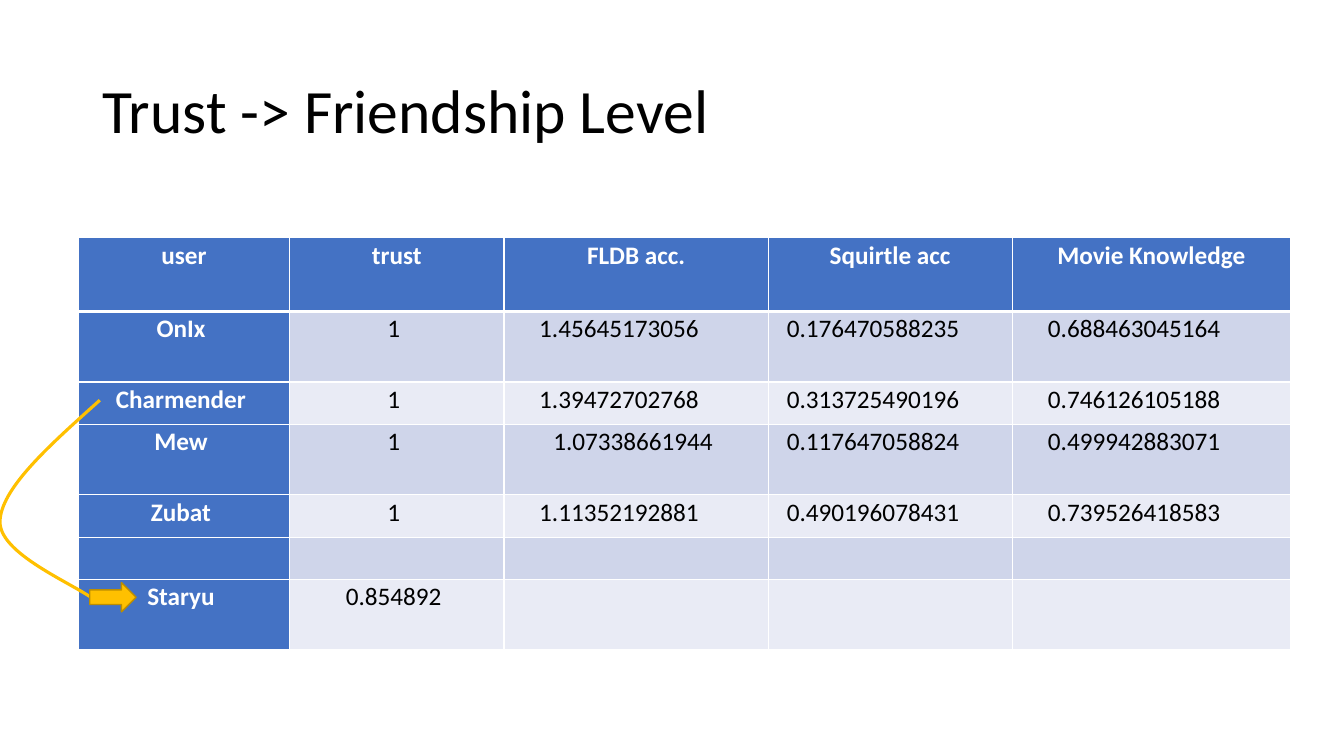
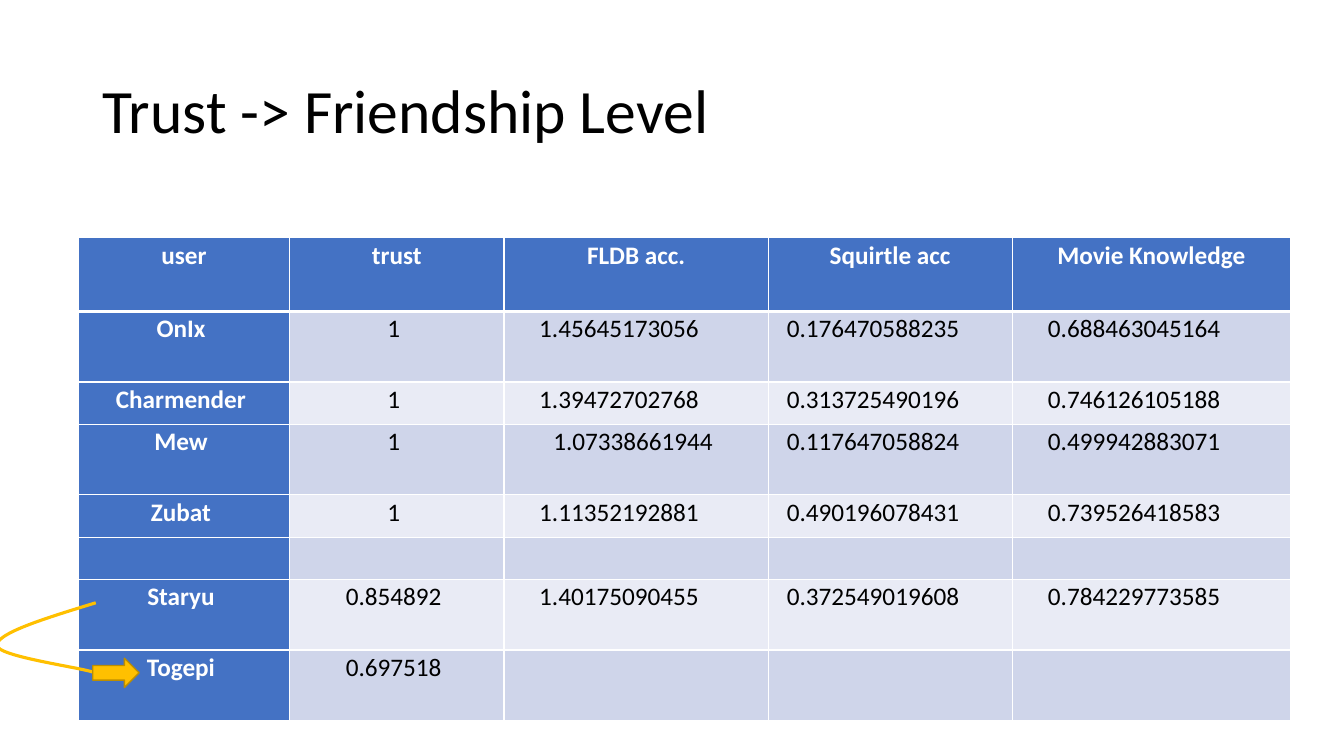
from lxml.etree import SubElement
from pptx import Presentation
from pptx.dml.color import RGBColor
from pptx.enum.shapes import MSO_SHAPE
from pptx.enum.text import MSO_ANCHOR, PP_ALIGN
from pptx.oxml.ns import qn
from pptx.util import Inches, Pt

COLORS = {
    "text": "000000",
    "white": "FFFFFF",
    "header": "4472C4",
    "odd": "CFD5EA",
    "even": "E9EBF5",
    "marker": "FFC000",
    "marker_edge": "BD8E00",
}
COLUMN_WIDTHS = [2.09, 2.13, 2.62, 2.42, 2.76]
TALL, SHORT = 0.7, 0.42
HEADER_HEIGHT = 0.73
TABLE_LEFT, TABLE_TOP = 0.78, 2.36
FIRST_LINE_INDENT = 0.28
HEADER_MARGINS = {"margin_left": 0.07, "margin_right": 0.07, "margin_top": 0, "margin_bottom": 0}
BODY_MARGINS = HEADER_MARGINS | {"margin_right": 0.41}

HEADINGS = ["user", "trust", "FLDB acc.", "Squirtle acc", "Movie Knowledge"]
USERS = [
    (TALL, ["OnIx", "1", "1.45645173056", "0.176470588235", "0.688463045164"]),
    (SHORT, ["Charmender", "1", "1.39472702768", "0.313725490196", "0.746126105188"]),
    (TALL, ["Mew", "1", "1.07338661944", "0.117647058824", "0.499942883071"]),
    (SHORT, ["Zubat", "1", "1.11352192881", "0.490196078431", "0.739526418583"]),
    (SHORT, [""] * 5),
]
STARYU = ["Staryu", "0.854892", "1.40175090455", "0.372549019608", "0.784229773585"]
TOGEPI = ["Togepi", "0.697518", "", "", ""]
SLIDES = [
    {
        "rows": USERS + [(TALL, STARYU[:2] + [""] * 3)],
        "curve": [(0.99, 3.97), (0.5, 4.41), (0, 4.85), (0, 5.18),
                  (0, 5.52), (0.83, 5.83), (0.97, 5.98)],
        "arrow": (0.89, 5.78),
    },
    {
        "rows": USERS + [(TALL, STARYU), (TALL, TOGEPI)],
        "curve": [(0.95, 5.98), (0.46, 6.13), (-0.03, 6.28), (-0.03, 6.4),
                  (-0.04, 6.51), (0.79, 6.62), (0.93, 6.67)],
        "arrow": (0.92, 6.53),
    },
]


def write(text_frame, text, size, color, bold=False, spacing=1.07, align=PP_ALIGN.CENTER):
    paragraph = text_frame.paragraphs[0]
    paragraph.alignment = align
    paragraph.line_spacing = spacing
    run = paragraph.add_run()
    run.text = text
    for name, value in {"name": "Calibri", "size": Pt(size), "bold": bold}.items():
        setattr(run.font, name, value)
    run.font.color.rgb = RGBColor.from_string(COLORS[color])
    return paragraph


def add_borders(cell, widths):
    properties = cell._tc.get_or_add_tcPr()
    for side, width in widths.items():
        line = SubElement(properties, qn(f"a:ln{side}"), w=str(Pt(width)))
        fill = SubElement(line, qn("a:solidFill"))
        SubElement(fill, qn("a:srgbClr"), val=COLORS["white"])


presentation = Presentation()
presentation.slide_width = Inches(13.33)
presentation.slide_height = Inches(7.5)

for content in SLIDES:
    slide = presentation.slides.add_slide(presentation.slide_layouts[6])

    title = slide.shapes.add_textbox(Inches(0.92), Inches(0.4), Inches(11.5), Inches(1.45))
    title.text_frame.word_wrap = True
    title.text_frame.vertical_anchor = MSO_ANCHOR.MIDDLE
    write(title.text_frame, "Trust -> Friendship Level", 44, "text",
          spacing=0.9, align=PP_ALIGN.LEFT)

    rows = [(HEADER_HEIGHT, HEADINGS)] + content["rows"]
    table = slide.shapes.add_table(
        len(rows), len(HEADINGS), Inches(TABLE_LEFT), Inches(TABLE_TOP),
        Inches(sum(COLUMN_WIDTHS)), Inches(sum(height for height, _ in rows)),
    ).table
    for column, width in zip(table.columns, COLUMN_WIDTHS):
        column.width = Inches(width)

    for row_index, (height, values) in enumerate(rows):
        table.rows[row_index].height = Inches(height)
        is_header = row_index == 0
        for column_index, value in enumerate(values):
            cell = table.cell(row_index, column_index)
            is_label = is_header or column_index == 0
            add_borders(cell, {"L": 1, "R": 1, "T": 3 if row_index == 1 else 1,
                               "B": 3 if is_header else 1})
            band = "header" if is_label else ("even", "odd")[row_index % 2]
            cell.fill.solid()
            cell.fill.fore_color.rgb = RGBColor.from_string(COLORS[band])
            for name, margin in (HEADER_MARGINS if is_header else BODY_MARGINS).items():
                setattr(cell, name, Inches(margin))
            if not value:
                continue
            paragraph = write(cell.text_frame, value, 18,
                              "white" if is_label else "text", bold=is_label)
            is_indented = column_index < 2 or (values[0] == "Mew" and column_index == 2)
            if is_indented and not is_header:
                paragraph._p.get_or_add_pPr().set("indent", str(Inches(FIRST_LINE_INDENT)))

    points = [(Inches(x), Inches(y)) for x, y in content["curve"]]
    builder = slide.shapes.build_freeform(*points[0])
    builder.add_line_segments(points[1:], close=False)
    curve = builder.convert_to_shape()
    segments = list(curve._element.iter(qn("a:lnTo")))
    outline = segments[0].getparent()
    for start in range(0, len(segments), 3):
        bezier = SubElement(outline, qn("a:cubicBezTo"))
        for segment in segments[start:start + 3]:
            bezier.append(segment[0])
            outline.remove(segment)
    curve.fill.background()

    left, top = content["arrow"]
    arrow = slide.shapes.add_shape(MSO_SHAPE.RIGHT_ARROW, Inches(left), Inches(top),
                                   Inches(0.46), Inches(0.29))
    arrow.fill.solid()
    arrow.fill.fore_color.rgb = RGBColor.from_string(COLORS["marker"])

    for shape, color, width in [(curve, "marker", 2.25), (arrow, "marker_edge", 1)]:
        shape.shadow.inherit = False
        shape.line.color.rgb = RGBColor.from_string(COLORS[color])
        shape.line.width = Pt(width)

presentation.save("out.pptx")
